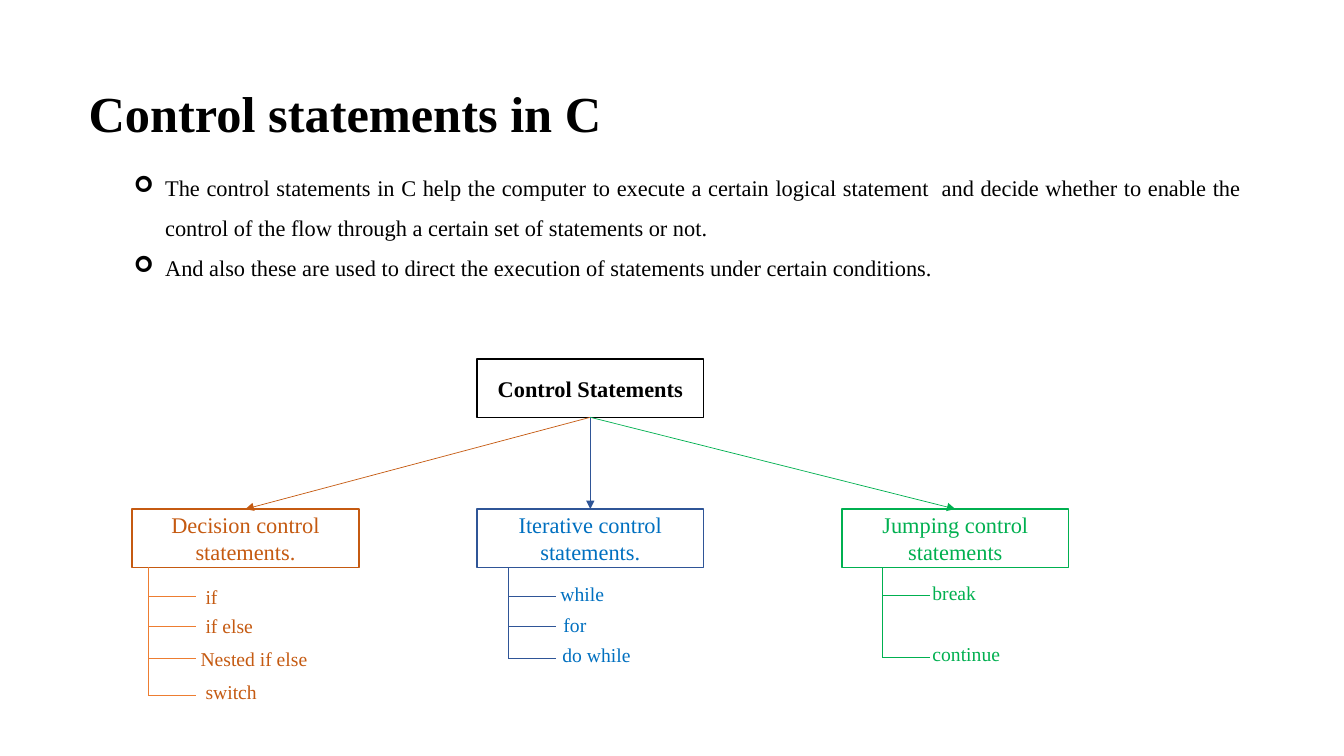
import pptx
import pptx.util
import pptx.dml.color
import pptx.enum.shapes
import pptx.enum.text
import pptx.oxml
import pptx.oxml.ns
from pptx.util import Inches

FONT = "Times New Roman"
BLACK = "000000"
BOX_WIDTH, BOX_HEIGHT = 2.25, 0.58
RUNG_LENGTH, LABEL_HEIGHT = 0.47, 0.34
ALIGN = pptx.enum.text.PP_ALIGN

# Each item: label, rung below the box, label offset from the rung end (x, y), label width
BRANCHES = [
    {"title": "Decision control statements.", "left": 1.31, "trunk": 0.16,
     "box_line": "C55A11", "text": "C55A11", "tree_line": "ED7D31",
     "items": [("if", 0.29, 0, -0.17, 0.41),
               ("if else", 0.58, 0, -0.17, 0.71),
               ("Nested if else", 0.9, -0.05, -0.16, 1.51),
               ("switch", 1.27, 0, -0.2, 1.51)]},
    {"title": "Iterative control statements.", "left": 4.73, "trunk": 0.31,
     "box_line": "2F5597", "text": "0070C0", "tree_line": "2F5597",
     "items": [("while", 0.29, -0.05, -0.2, 0.71),
               ("for", 0.58, -0.02, -0.18, 0.57),
               ("do while", 0.9, -0.03, -0.2, 0.99)]},
    {"title": "Jumping control statements", "left": 8.35, "trunk": 0.4,
     "box_line": "00B050", "text": "00B050", "tree_line": "00B050",
     "items": [("break", 0.28, -0.07, -0.2, 0.67),
               ("continue", 0.89, -0.07, -0.2, 0.92)]},
]


def color(hex_string):
    return pptx.dml.color.RGBColor.from_string(hex_string)


def format_paragraph(paragraph, size, hex_color, bold=False, align=ALIGN.LEFT):
    paragraph.alignment = align
    for run in paragraph.runs:
        run.font.name = FONT
        run.font.size = pptx.util.Pt(size)
        run.font.bold = bold
        run.font.color.rgb = color(hex_color)


def add_text(slide, text, left, top, width, height, size, hex_color, bold=False):
    box = slide.shapes.add_textbox(Inches(left), Inches(top), Inches(width), Inches(height))
    frame = box.text_frame
    frame.word_wrap = True
    frame.text = text
    for paragraph in frame.paragraphs:
        format_paragraph(paragraph, size, hex_color, bold)
    return frame


def add_line(slide, start, end, hex_color, arrow=False):
    line = slide.shapes.add_connector(
        pptx.enum.shapes.MSO_CONNECTOR.STRAIGHT, *(Inches(value) for value in (*start, *end)))
    line.line.color.rgb = color(hex_color)
    line.line.width = pptx.util.Pt(0.5)
    if arrow:
        tail = pptx.oxml.ns.qn("a:tailEnd")
        line.line._get_or_add_ln().makeelement(tail)
        end_mark = pptx.oxml.parse_xml(
            f'<a:tailEnd {pptx.oxml.ns.nsdecls("a")} type="triangle"/>')
        line.line._get_or_add_ln().append(end_mark)
    line._element.spPr.append(
        pptx.oxml.parse_xml(f'<a:effectLst {pptx.oxml.ns.nsdecls("a")}/>'))


def add_box(slide, text, left, top, line_color, text_color, bold=False):
    box = slide.shapes.add_shape(
        pptx.enum.shapes.MSO_SHAPE.RECTANGLE,
        Inches(left), Inches(top), Inches(BOX_WIDTH), Inches(BOX_HEIGHT))
    box.shadow.inherit = False
    box.fill.solid()
    box.fill.fore_color.rgb = color("FFFFFF")
    box.line.color.rgb = color(line_color)
    box.line.width = pptx.util.Pt(1)
    frame = box.text_frame
    frame.word_wrap = True
    frame.vertical_anchor = pptx.enum.text.MSO_ANCHOR.MIDDLE
    frame.text = text
    format_paragraph(frame.paragraphs[0], 16, text_color, bold, ALIGN.CENTER)


def add_bullets(slide, texts, left, top, width, height):
    frame = add_text(slide, "\n".join(texts), left, top, width, height, 16, BLACK)
    for paragraph in frame.paragraphs:
        paragraph.alignment = ALIGN.JUSTIFY
        paragraph.line_spacing = 1.5
        properties = paragraph._p.get_or_add_pPr()
        properties.set("marL", str(Inches(0.31)))
        properties.set("indent", str(-Inches(0.31)))
        for tag in ('buFont typeface="Wingdings"', 'buChar char="➢"'):
            properties.append(
                pptx.oxml.parse_xml(f'<a:{tag} {pptx.oxml.ns.nsdecls("a")}/>'))


def add_branch(slide, branch, top):
    left, line_color = branch["left"], branch["tree_line"]
    add_box(slide, branch["title"], left, top, branch["box_line"], branch["text"])
    bottom = top + BOX_HEIGHT
    trunk = left + branch["trunk"]
    rung_end = trunk + RUNG_LENGTH
    # Trunk reaches down to the last rung
    add_line(slide, (trunk, bottom), (trunk, bottom + branch["items"][-1][1]), line_color)
    for label, drop, shift_x, shift_y, width in branch["items"]:
        rung = bottom + drop
        add_line(slide, (rung_end, rung), (trunk, rung), line_color)
        add_text(slide, label, rung_end + shift_x, rung + shift_y,
                 width, LABEL_HEIGHT, 14, branch["text"])


def add_diagram(slide, root_left, root_top, branch_top):
    add_box(slide, "Control Statements", root_left, root_top, BLACK, BLACK, bold=True)
    root_bottom = (root_left + BOX_WIDTH / 2, root_top + BOX_HEIGHT)
    for branch in BRANCHES:
        add_branch(slide, branch, branch_top)
        target = (branch["left"] + BOX_WIDTH / 2, branch_top)
        add_line(slide, root_bottom, target, branch["box_line"], arrow=True)


def main():
    presentation = pptx.Presentation()
    presentation.slide_width = Inches(13.33)
    presentation.slide_height = Inches(7.5)
    slide = presentation.slides.add_slide(presentation.slide_layouts[6])
    # Heading and explanation
    add_text(slide, "Control statements in C", 0.78, 0.77, 8.44, 0.71, 36, BLACK, bold=True)
    add_bullets(slide, [
        "The control statements in C help the computer to execute a certain logical statement  "
        "and decide whether to enable the control of the flow through a certain set of "
        "statements or not.",
        "And also these are used to direct the execution of statements under certain conditions.",
    ], 1.23, 1.54, 11.18, 1.31)
    # Tree of statement kinds
    add_diagram(slide, 4.73, 3.56, 5.05)
    presentation.save("out.pptx")


if __name__ == "__main__":
    main()
